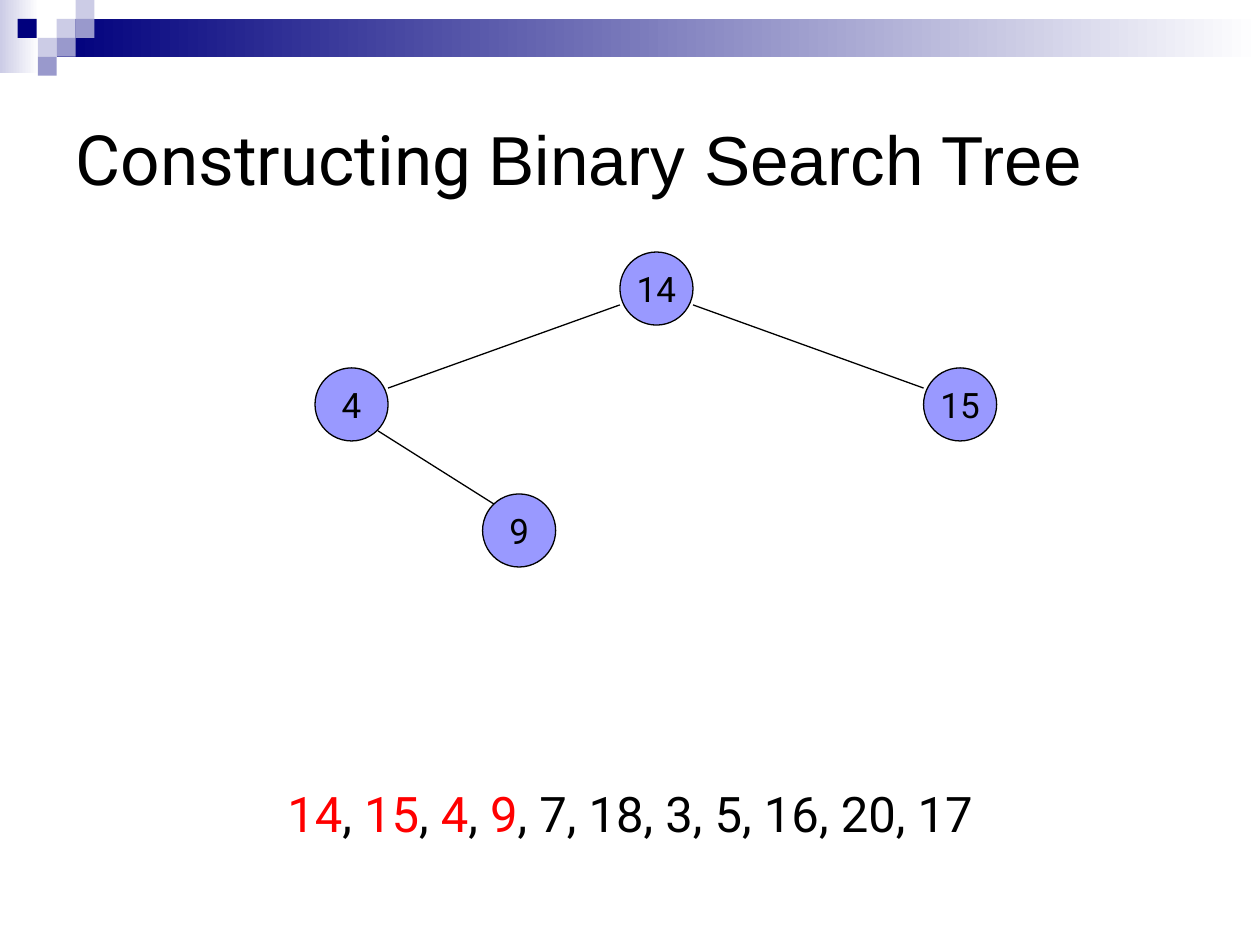
"""Build a slide showing a binary search tree after four insertions."""
import pptx
import pptx.dml.color
import pptx.enum.shapes
import pptx.enum.text
import pptx.oxml
import pptx.util

Inches = pptx.util.Inches
Pt = pptx.util.Pt
SHAPES = pptx.enum.shapes.MSO_SHAPE

TITLE = [("Constructing ", "Roboto"), ("Binary Search Tree", "Arial")]
SEQUENCE = [14, 15, 4, 9, 7, 18, 3, 5, 16, 20, 17]
INSERTED = 4
DIAMETER = 0.58
NODES = {14: (4.92, 2), 15: (7.33, 2.92), 4: (2.5, 2.92), 9: (3.83, 3.92)}
EDGES = [((5.5, 2.42), (7.33, 3.08)), ((4.92, 2.42), (3.08, 3.08)), ((3, 3.42), (3.92, 4))]
BANDS = [((0, 0, 0.31, 0.58), "CCCCE6"), ((0.45, 0.15, 9.55, 0.3), "00007D")]
TILE = 0.15
TILES = [
    (0.45, 0.15, "CCCCE6"), (0.6, 0, "CCCCE6"), (0.6, 0.15, "9999CC"),
    (0.3, 0.3, "CCCCE6"), (0.14, 0.15, "00007D"), (0.45, 0.3, "9999CC"),
    (0.3, 0.45, "9999CC"),
]


def paint(target, color):
    target.rgb = pptx.dml.color.RGBColor.from_string(color)


def add_shape(page, kind, frame, color, fade=False):
    shape = page.shapes.add_shape(kind, *map(Inches, frame))
    shape.shadow.inherit = False
    if fade:
        shape.fill.gradient()
        shape.fill.gradient_angle = 0
        for stop, shade in zip(shape.fill.gradient_stops, (color, "FFFFFF")):
            paint(stop.color, shade)
    else:
        shape.fill.solid()
        paint(shape.fill.fore_color, color)
    shape.line.fill.background()
    return shape


def outline(line):
    line.fill.solid()
    paint(line.fill.fore_color, "000000")
    line.width = Pt(0.75)


def add_span(paragraph, text, color):
    span = paragraph.add_run()
    span.text = text
    paint(span.font.color, color)
    return span


def add_banner(page):
    for frame, color in BANDS:
        add_shape(page, SHAPES.RECTANGLE, frame, color, fade=True)
    for left, top, color in TILES:
        add_shape(page, SHAPES.RECTANGLE, (left, top, TILE, TILE), color)


def add_title(page):
    title = page.shapes.title
    title.left, title.top, title.width, title.height = map(Inches, (0.5, 0.5, 9, 1.5))
    title.text_frame.auto_size = pptx.enum.text.MSO_AUTO_SIZE.NONE
    title.text_frame.vertical_anchor = pptx.enum.text.MSO_ANCHOR.MIDDLE
    paragraph = title.text_frame.paragraphs[0]
    paragraph.alignment = pptx.enum.text.PP_ALIGN.LEFT
    paragraph.font.size = Pt(39.6)
    for text, font in TITLE:
        add_span(paragraph, text, "000000").font.name = font


def add_sequence(page):
    box = page.shapes.add_textbox(*map(Inches, (0.5, 6.17, 9, 0.75)))
    box.text_frame.word_wrap = True
    paragraph = box.text_frame.paragraphs[0]
    paragraph.alignment = pptx.enum.text.PP_ALIGN.CENTER
    paragraph.font.name = "Roboto"
    paragraph.font.size = Pt(28)
    for value in SEQUENCE[:INSERTED]:
        add_span(paragraph, str(value), "FF0000")
        if value != SEQUENCE[INSERTED - 1]:
            add_span(paragraph, ", ", "000000")
    waiting = "".join(f", {value}" for value in SEQUENCE[INSERTED:])
    add_span(paragraph, waiting, "000000")


def add_tree(page):
    for value, (left, top) in NODES.items():
        node = add_shape(page, SHAPES.OVAL, (left, top, DIAMETER, DIAMETER), "9999FF")
        outline(node.line)
        frame = node.text_frame
        frame.margin_left = frame.margin_right = frame.margin_top = frame.margin_bottom = 0
        frame.word_wrap = False
        paragraph = frame.paragraphs[0]
        paragraph.text = str(value)
        paragraph.font.name = "Roboto"
        paragraph.font.size = Pt(20)
        paint(paragraph.font.color, "000000")
    for start, end in EDGES:
        edge = page.shapes.add_connector(
            pptx.enum.shapes.MSO_CONNECTOR.STRAIGHT, *map(Inches, start + end))
        outline(edge.line)
        properties = edge.element.spPr
        properties.append(properties.makeelement(pptx.oxml.ns.qn("a:effectLst"), {}))


def main():
    deck = pptx.Presentation()
    deck.slide_width, deck.slide_height = Inches(10), Inches(7.5)
    page = deck.slides.add_slide(deck.slide_layouts[5])
    add_banner(page)
    add_title(page)
    add_sequence(page)
    add_tree(page)
    deck.save("out.pptx")


if __name__ == "__main__":
    main()
